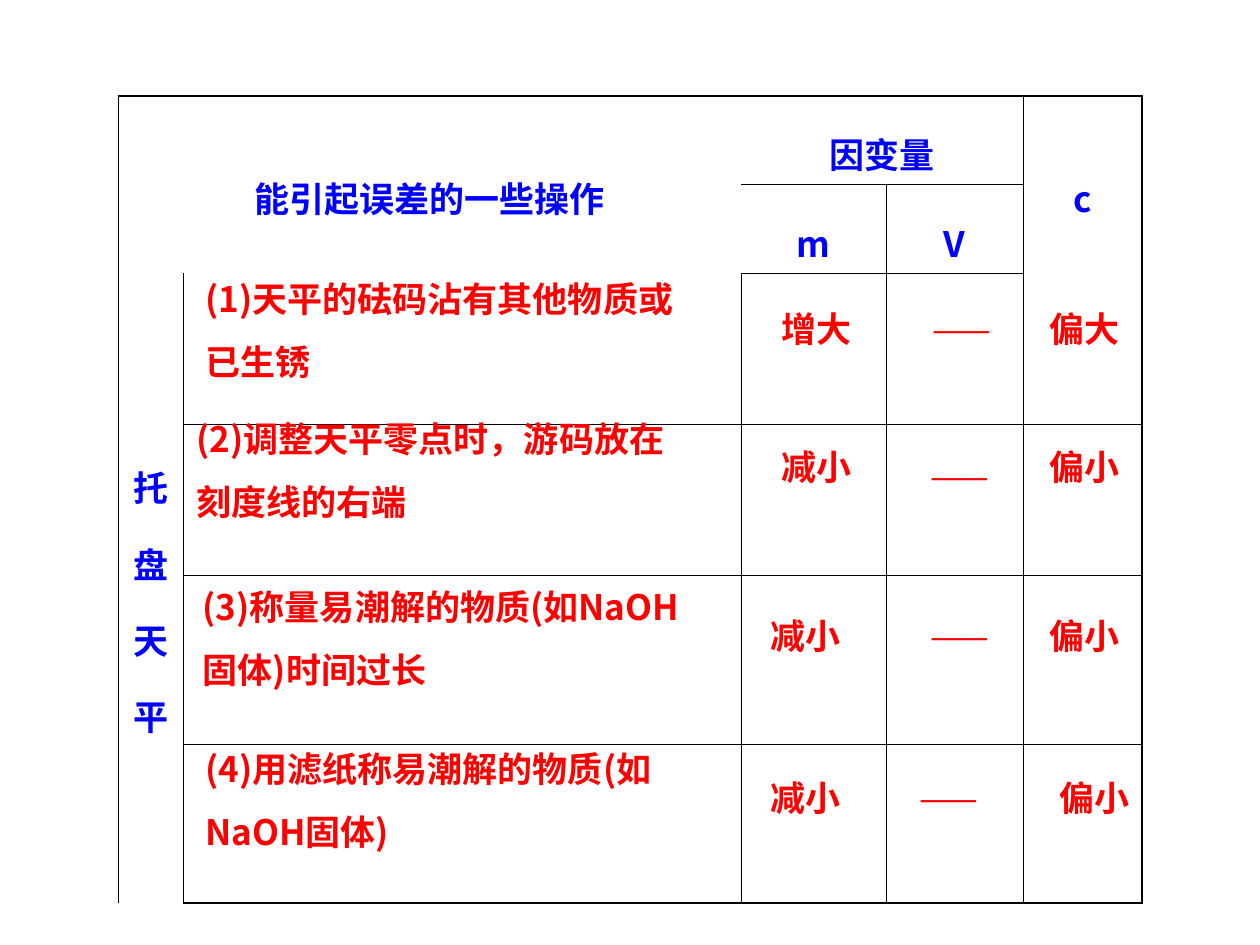
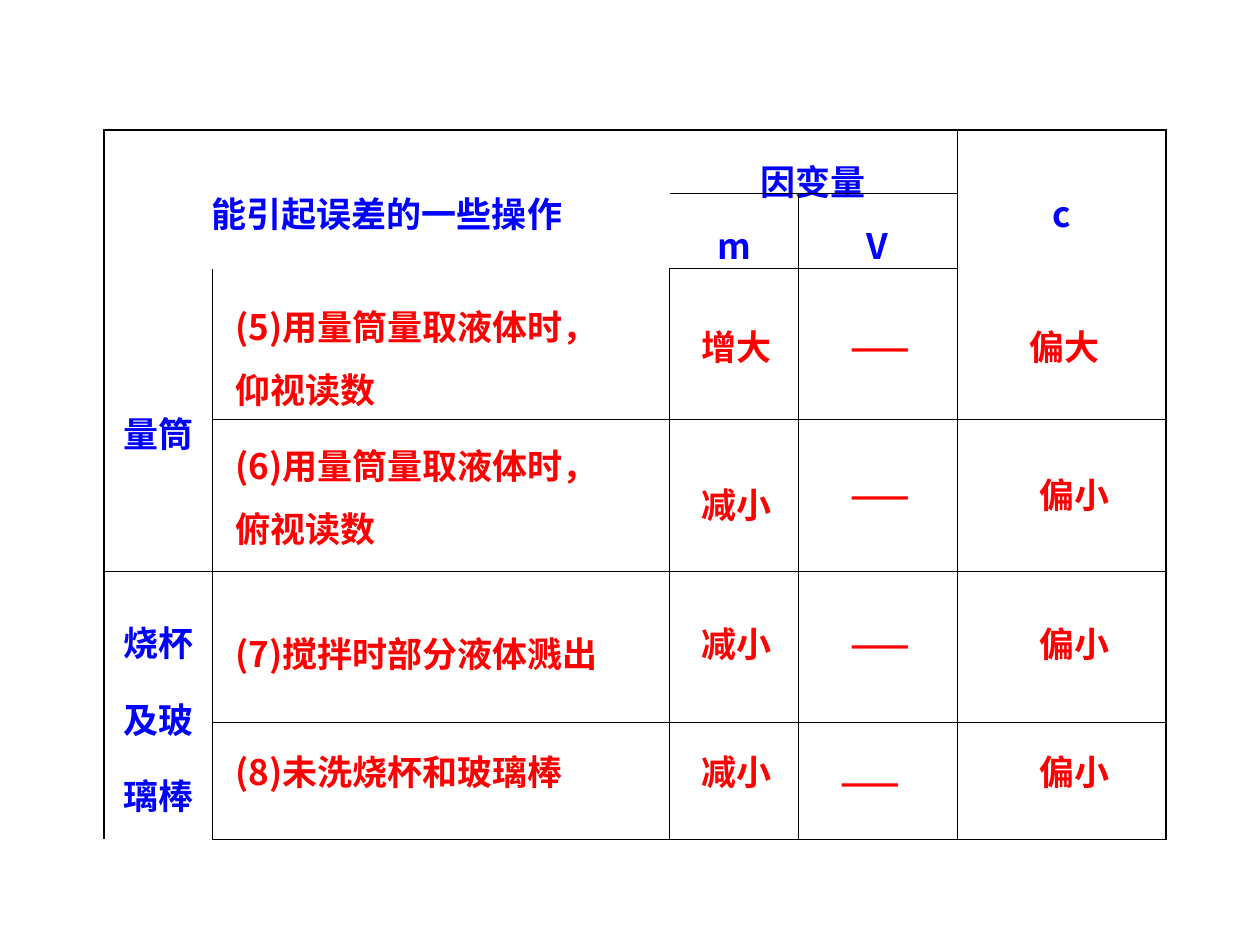
from lxml.etree import SubElement
from pptx import Presentation
from pptx.dml.color import RGBColor
from pptx.enum.text import MSO_ANCHOR, MSO_AUTO_SIZE, PP_ALIGN
from pptx.oxml import parse_xml
from pptx.oxml.ns import nsdecls, qn
from pptx.util import Pt

BLUE = RGBColor(0x00, 0x00, 0xFF)
RED = RGBColor(0xFF, 0x00, 0x00)
BLACK = RGBColor(0x00, 0x00, 0x00)
FONT = "Noto Sans CJK SC"
FONT_SIZE = 20
OUTER_LINE, INNER_LINE = 1.08, 0.45
LINE_HEIGHT, TWO_LINE_HEIGHT = 31.7, 79.2
DASH = "——"

# Header cells and their merged areas: (row, column, rows, columns, text)
HEADERS = [
    (0, 0, 2, 2, "能引起误差的一些操作"),
    (0, 2, 1, 2, "因变量"),
    (0, 4, 2, 1, "c"),
    (1, 2, 1, 1, "m"),
    (1, 3, 1, 1, "V"),
]

# Each operation: description, m, V and c, as (text, left, top, width)
BALANCE = {
    "corner": (67.7, 54.7),
    "columns": [37.2, 318.6, 82.8, 78.3, 68],
    "rows": [43.2, 43.2, 86.4, 86.4, 96.3, 90.7],
    "cell_margin": 3.6,
    "bold_dash": False,
    "instruments": [(2, 0, 4, 1, "托盘天平")],
    "operations": [
        [("(1)天平的砝码沾有其他物质或已生锈", 110.2, 143.3, 294.5),
         ("增大", 439.2, 172.1, 85), (DASH, 525.6, 172.1, 67), ("偏大", 592.6, 172.1, 85)],
        [("(2)调整天平零点时，游码放在刻度线的右端", 105.1, 223.2, 300.2),
         ("减小", 439.2, 251.3, 85), (DASH, 524.9, 256.3, 67), ("偏小", 592.6, 251.3, 67)],
        [("(3)称量易潮解的物质(如NaOH固体)时间过长", 108.7, 319, 306),
         ("减小", 433.4, 347.8, 85), (DASH, 524.5, 347.8, 67), ("偏小", 592.6, 347.8, 67)],
        [("(4)用滤纸称易潮解的物质(如NaOH固体)", 110.2, 411.8, 306),
         ("减小", 433.4, 440, 85), (DASH, 518.4, 440, 67), ("偏小", 598.3, 440, 67)],
    ],
}
GLASSWARE = {
    "corner": (59.6, 74.2),
    "columns": [61.8, 261.2, 73.6, 90.9, 119.2],
    "rows": [36, 43.2, 86.4, 86.4, 86.4, 67],
    "cell_margin": 0,
    "bold_dash": True,
    "instruments": [(2, 0, 2, 1, "量筒"), (4, 0, 2, 1, "烧杯\n及玻\n璃棒")],
    "operations": [
        [("(5)用量筒量取液体时，\n仰视读数", 127.4, 159.1, 244),
         ("增大", 393.8, 182.2, 96.5), (DASH, 478.8, 182.2, 90), ("偏大", 581, 182.2, 85)],
        [("(6)用量筒量取液体时，\n俯视读数", 127.4, 238.3, 238.3),
         ("减小", 393.8, 272.9, 90.7), (DASH, 478.8, 267.1, 62.6), ("偏小", 586.8, 267.1, 68.4)],
        [("(7)搅拌时部分液体溅出", 127.4, 357.8, 249.8),
         ("减小", 393.8, 352.1, 90.7), (DASH, 478.8, 352.1, 62.6), ("偏小", 586.8, 352.1, 68.4)],
        [("(8)未洗烧杯和玻璃棒", 127.4, 425.5, 249.8),
         ("减小", 393.8, 425.5, 90.7), (DASH, 473, 431.3, 62.6), ("偏小", 586.8, 425.5, 68.4)],
    ],
}


def write(frame, text, color, bold=True, spacing=None, align=PP_ALIGN.LEFT):
    frame.text = text
    for paragraph in frame.paragraphs:
        paragraph.alignment = align
        if spacing:
            paragraph.line_spacing = spacing
        font = paragraph.font
        font.size, font.bold, font.name = Pt(FONT_SIZE), bold, FONT
        font.color.rgb = color
        SubElement(font._element, qn("a:ea"), typeface=FONT)


def set_borders(cell, widths):
    """Put left, right, top and bottom lines on a cell; None hides a line."""
    properties = cell._tc.get_or_add_tcPr()
    for position, (side, width) in enumerate(zip("LRTB", widths)):
        if width is None:
            line = f'<a:ln{side} {nsdecls("a")}><a:noFill/></a:ln{side}>'
        else:
            line = (f'<a:ln{side} {nsdecls("a")} w="{Pt(width)}"><a:solidFill>'
                    f'<a:srgbClr val="{BLACK}"/></a:solidFill></a:ln{side}>')
        properties.insert(position, parse_xml(line))


def edge_width(index, first, last, limit):
    """Line width at a grid position: hidden inside a merged area."""
    if first < index < last:
        return None
    return OUTER_LINE if index in (0, limit) else INNER_LINE


def add_grid(slide, topic):
    columns, rows = topic["columns"], topic["rows"]
    table = slide.shapes.add_table(
        len(rows), len(columns), *map(Pt, topic["corner"]),
        Pt(sum(columns)), Pt(sum(rows))).table
    table.first_row = table.horz_banding = False
    for column, width in zip(table.columns, columns):
        column.width = Pt(width)
    for row, height in zip(table.rows, rows):
        row.height = Pt(height)

    areas = {}
    for top, left, height, width, text in HEADERS + topic["instruments"]:
        label = table.cell(top, left)
        if height * width > 1:
            label.merge(table.cell(top + height - 1, left + width - 1))
        write(label.text_frame, text, BLUE, spacing=1.5, align=PP_ALIGN.CENTER)
        for r in range(top, top + height):
            for c in range(left, left + width):
                areas[r, c] = (top, left, top + height, left + width)

    for r in range(len(rows)):
        for c in range(len(columns)):
            cell = table.cell(r, c)
            cell.vertical_anchor = MSO_ANCHOR.MIDDLE
            cell.margin_left = cell.margin_right = Pt(5)
            cell.margin_top = cell.margin_bottom = Pt(topic["cell_margin"])
            cell.fill.background()
            top, left, bottom, right = areas.get((r, c), (r, c, r + 1, c + 1))
            set_borders(cell, [
                edge_width(c, left, right, len(columns)),
                edge_width(c + 1, left, right, len(columns)),
                edge_width(r, top, bottom, len(rows)),
                edge_width(r + 1, top, bottom, len(rows)),
            ])


def add_answer(slide, text, left, top, width, two_lines=False, bold=True):
    height = TWO_LINE_HEIGHT if two_lines else LINE_HEIGHT
    frame = slide.shapes.add_textbox(*map(Pt, (left, top, width, height))).text_frame
    frame.word_wrap = True
    frame.auto_size = MSO_AUTO_SIZE.SHAPE_TO_FIT_TEXT
    write(frame, text, RED, bold, spacing=1.5 if two_lines else None)


def main():
    deck = Presentation()
    deck.slide_width, deck.slide_height = Pt(720), Pt(540)
    for topic in (BALANCE, GLASSWARE):
        slide = deck.slides.add_slide(deck.slide_layouts[6])
        add_grid(slide, topic)
        for description, *effects in topic["operations"]:
            add_answer(slide, *description, two_lines=len(description[0]) > 14)
            for effect in effects:
                add_answer(slide, *effect, bold=effect[0] != DASH or topic["bold_dash"])
    deck.save("out.pptx")


if __name__ == "__main__":
    main()
